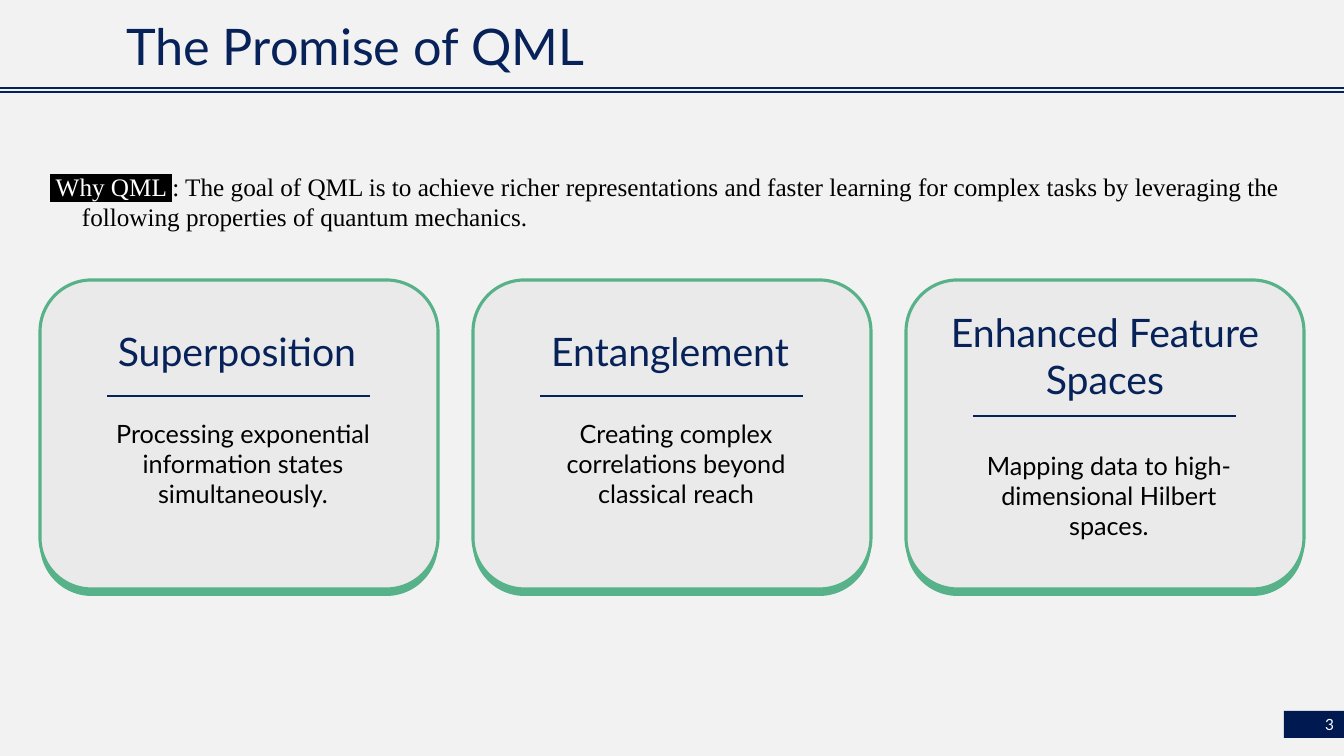
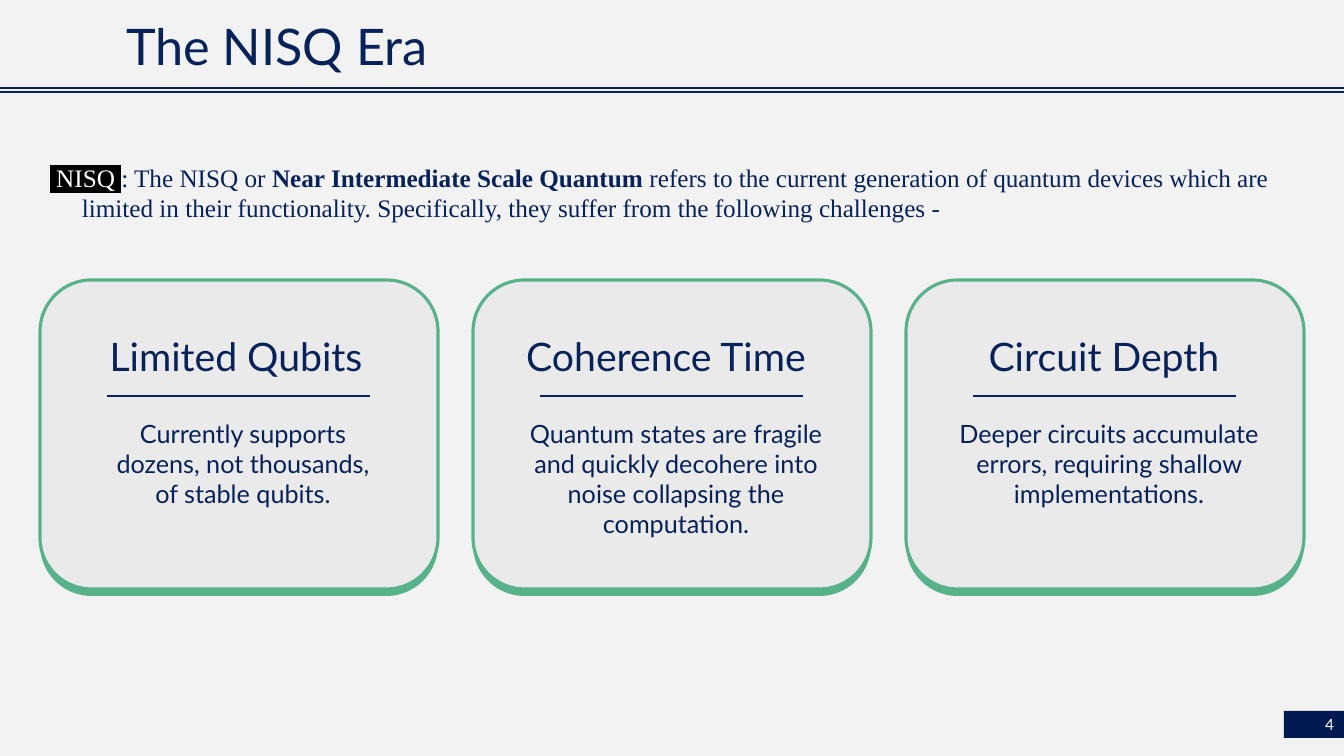
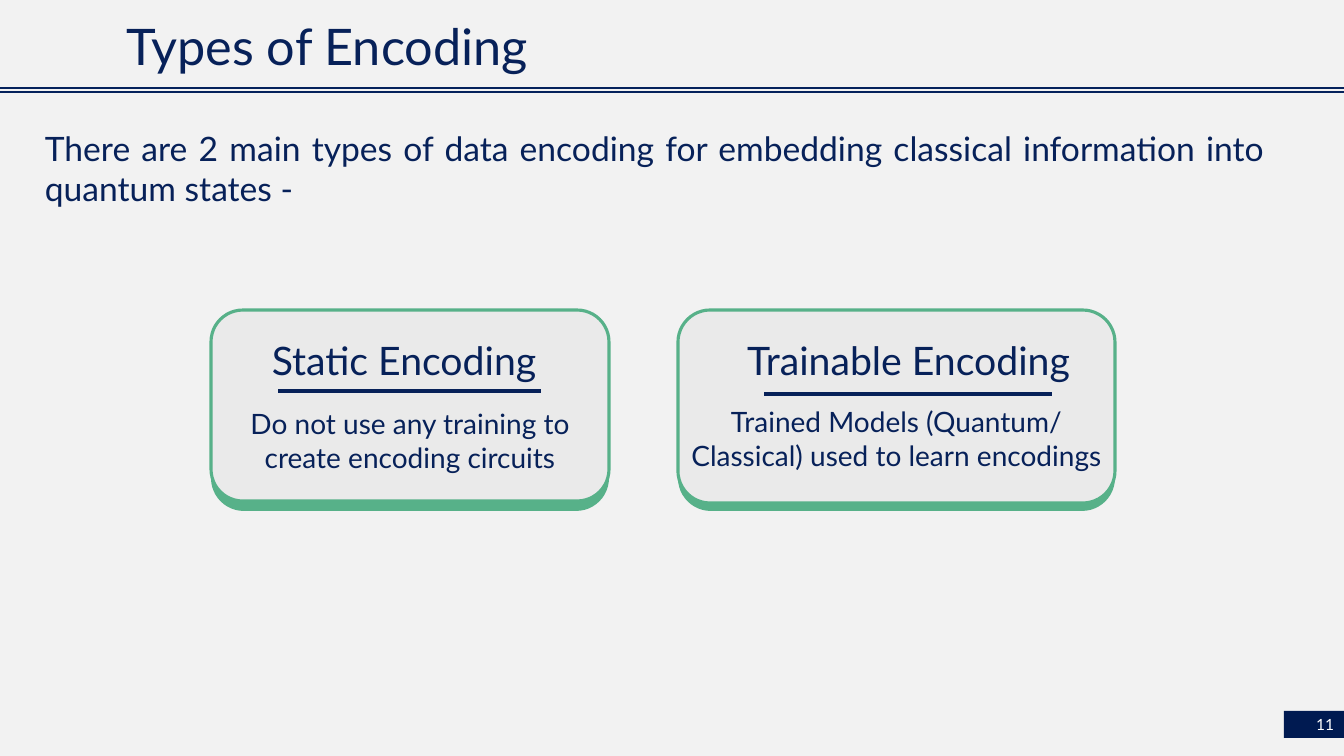
from dataclasses import dataclass

from lxml.etree import SubElement
from pptx import Presentation
from pptx.dml.color import RGBColor
from pptx.enum.shapes import MSO_CONNECTOR, MSO_SHAPE
from pptx.enum.text import MSO_ANCHOR, MSO_AUTO_SIZE, PP_ALIGN
from pptx.oxml.ns import qn
from pptx.util import Emu, Pt

# Shared geometry and style
SLIDE_W, SLIDE_H = 1344, 756
EMU_PER_PX = 12192000 / SLIDE_W
MARGIN = 40
NAVY, RULE_NAVY, BADGE_NAVY = "072159", "05225C", "001A51"
GREEN, CARD_GREY, PAGE_GREY = "57B189", "EAEAEA", "F2F2F2"
BLACK, WHITE = "000000", "FFFFFF"
SANS, SERIF = "Lato", "Times New Roman"
TITLE_ONLY = 5


@dataclass
class Card:
    heading: str
    body: str
    body_width: int
    heading_dx: int = 0
    heading_y: int = 322
    rule_y: int = 396
    body_y: int = 413
    rule_dx: int = 0
    rule_width: int = 263


@dataclass
class CardStyle:
    top: int = 280
    drop: int = 7
    back_height: int = 309
    body_color: str = NAVY
    body_size: int = 18
    body_dx: int = 4
    rule_weight: float = 1.5


def px(length):
    return Emu(round(length * EMU_PER_PX))


def rgb(color):
    return RGBColor.from_string(color)


def add_run(paragraph, text, size, color=NAVY, font=SANS, bold=False, highlight=None):
    run = paragraph.add_run()
    run.text = text
    run.font.size, run.font.name, run.font.bold = Pt(size), font, bold
    run.font.color.rgb = rgb(color)
    if highlight:
        properties = run._r.get_or_add_rPr()
        mark = SubElement(properties, qn("a:highlight"))
        SubElement(mark, qn("a:srgbClr")).set("val", highlight)
        properties.find(qn("a:solidFill")).addnext(mark)


def add_paragraph_box(shapes, left, top, width, height, align=PP_ALIGN.LEFT):
    """Add a wrapping text box and return its paragraph."""
    frame = shapes.add_textbox(px(left), px(top), px(width), px(height)).text_frame
    frame.word_wrap = True
    paragraph = frame.paragraphs[0]
    paragraph.alignment = align
    return paragraph


def add_panel(shapes, preset, left, top, width, height, fill, outline=None):
    panel = shapes.add_shape(preset, px(left), px(top), px(width), px(height))
    panel.shadow.inherit = False
    panel.fill.solid()
    panel.fill.fore_color.rgb = rgb(fill)
    if outline:
        panel.line.color.rgb = rgb(outline)
        panel.line.width = Pt(2.25)
    else:
        panel.line.fill.background()
    return panel


def add_rule(shapes, left, y, width, color=NAVY, weight=1.5):
    rule = shapes.add_connector(
        MSO_CONNECTOR.STRAIGHT, px(left), px(y), px(left + width), px(y))
    rule.line.color.rgb = rgb(color)
    rule.line.width = Pt(weight)
    SubElement(rule.element.spPr, qn("a:effectLst"))
    return rule


def style_layout(layout, first_slide):
    """Give the layout its background, title place and double rule."""
    layout.background.fill.solid()
    layout.background.fill.fore_color.rgb = rgb(PAGE_GREY)
    title = layout.placeholders[0]
    title.left, title.top, title.width, title.height = px(116), px(22), px(613), px(54)
    for y in (88, 92):
        rule = add_rule(first_slide.shapes, 0, y, SLIDE_W, RULE_NAVY)
        layout.shapes.element.append(rule.element)


def add_title(slide, text):
    frame = slide.shapes.title.text_frame
    frame.auto_size = MSO_AUTO_SIZE.NONE
    frame.vertical_anchor = MSO_ANCHOR.MIDDLE
    paragraph = frame.paragraphs[0]
    paragraph.alignment = PP_ALIGN.LEFT
    paragraph.line_spacing = 0.9
    add_run(paragraph, text, 36)


def add_page_number(slide, number):
    badge = add_panel(slide.shapes, MSO_SHAPE.RECTANGLE, 1284, 711, 60, 27, BADGE_NAVY)
    badge.text_frame.vertical_anchor = MSO_ANCHOR.MIDDLE
    paragraph = badge.text_frame.paragraphs[0]
    paragraph.alignment = PP_ALIGN.RIGHT
    add_run(paragraph, str(number), 11, WHITE)


def add_definition(slide, top, term, color, passages):
    """Add a highlighted term and its text, given as (text, bold) passages."""
    paragraph = add_paragraph_box(slide.shapes, MARGIN, top, SLIDE_W - 2 * MARGIN, 72)
    hanging = px(32)
    properties = paragraph._p.get_or_add_pPr()
    properties.set("marL", str(hanging))
    properties.set("indent", str(-hanging))
    add_run(paragraph, f" {term} ", 18, WHITE, SERIF, highlight=BLACK)
    for text, bold in passages:
        add_run(paragraph, text, 18, color, SERIF, bold)


def add_card(slide, left, width, height, card, style):
    shapes = slide.shapes.add_group_shape().shapes
    center = left + width / 2
    add_panel(shapes, MSO_SHAPE.ROUNDED_RECTANGLE, left, style.top + style.drop,
              width, style.back_height, GREEN)
    add_panel(shapes, MSO_SHAPE.ROUNDED_RECTANGLE, left, style.top,
              width, height, CARD_GREY, GREEN)

    def add_centered(text, dx, top, text_width, text_height, size, color):
        paragraph = add_paragraph_box(shapes, center + dx - text_width / 2, top,
                                      text_width, text_height, PP_ALIGN.CENTER)
        add_run(paragraph, text, size, color)

    add_centered(card.heading, card.heading_dx, card.heading_y, 350, 57, 28, NAVY)
    add_centered(card.body, style.body_dx, card.body_y, card.body_width, 102,
                 style.body_size, style.body_color)
    add_rule(shapes, center + card.rule_dx - card.rule_width / 2, card.rule_y,
             card.rule_width, weight=style.rule_weight)


def add_card_row(slide, cards, style):
    """Spread equal cards between the margins."""
    width = 398
    pitch = (SLIDE_W - 2 * MARGIN - width) / (len(cards) - 1)
    for column, card in enumerate(cards):
        add_card(slide, MARGIN + column * pitch, width, 309, card, style)


def build_promise(slide):
    add_definition(slide, 166, "Why QML", BLACK, [
        (": The goal of QML is to achieve richer representations and faster learning "
         "for complex tasks by leveraging the following properties of quantum mechanics.",
         False)])
    add_card_row(slide, [
        Card("Superposition", "Processing exponential information states simultaneously.",
             323, heading_dx=-2),
        Card("Entanglement", "Creating complex correlations beyond classical reach",
             323, heading_dx=-2),
        Card("Enhanced Feature Spaces", "Mapping data to high-dimensional Hilbert spaces.",
             302, heading_y=303, rule_y=416, body_y=445),
    ], CardStyle(body_color=BLACK))


def build_nisq(slide):
    add_definition(slide, 157, "NISQ", NAVY, [
        (": The NISQ or ", False),
        ("Near Intermediate Scale Quantum", True),
        (" refers to the current generation of quantum devices which are limited in "
         "their functionality. Specifically, they suffer from the following challenges -",
         False)])
    add_card_row(slide, [
        Card("Limited Qubits", "Currently supports dozens, not thousands, of stable qubits.",
             286, heading_dx=-3, heading_y=327),
        Card("Coherence Time", "Quantum states are fragile and quickly decohere into "
             "noise collapsing the computation.", 323, heading_dx=-6, heading_y=327),
        Card("Circuit Depth", "Deeper circuits accumulate errors, requiring shallow "
             "implementations.", 353, heading_dx=-1, heading_y=327),
    ], CardStyle())


def build_encoding(slide):
    lead = add_paragraph_box(slide.shapes, 35, 123, 1239, 92, PP_ALIGN.JUSTIFY)
    add_run(lead, "There are 2 main types of data encoding for embedding classical "
            "information into quantum states -", 24)
    style = CardStyle(top=310, drop=4, back_height=197, body_size=20, body_dx=0,
                      rule_weight=2.25)
    static = Card("Static Encoding", "Do not use any training to create encoding circuits",
                  363, heading_dx=-6, heading_y=331, rule_y=391, body_y=402)
    trainable = Card("Trainable Encoding",
                     "Trained Models (Quantum/ Classical) used to learn encodings",
                     437, heading_dx=12, heading_y=331, rule_y=394, body_y=400,
                     rule_dx=12, rule_width=288)
    add_card(slide, 211, 398, 191, static, style)
    add_card(slide, 678, 437, 193, trainable, style)


def main():
    deck = Presentation()
    deck.slide_width, deck.slide_height = px(SLIDE_W), px(SLIDE_H)
    layout = deck.slide_layouts[TITLE_ONLY]
    pages = [
        ("The Promise of QML", 3, build_promise),
        ("The NISQ Era", 4, build_nisq),
        ("Types of Encoding", 11, build_encoding),
    ]
    for title, number, build in pages:
        slide = deck.slides.add_slide(layout)
        if len(deck.slides) == 1:
            style_layout(layout, slide)
        add_title(slide, title)
        build(slide)
        add_page_number(slide, number)
    deck.save("out.pptx")


if __name__ == "__main__":
    main()
